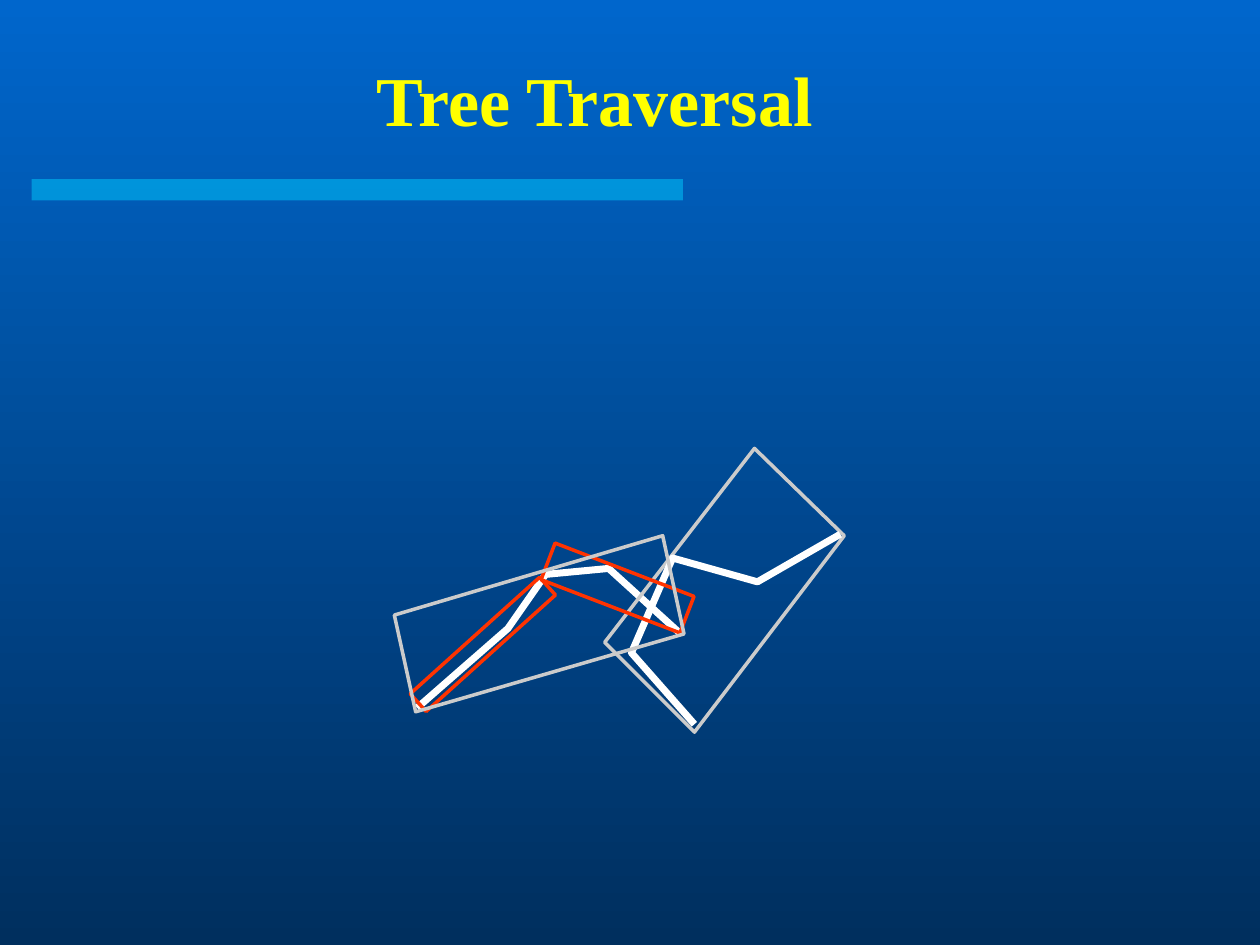
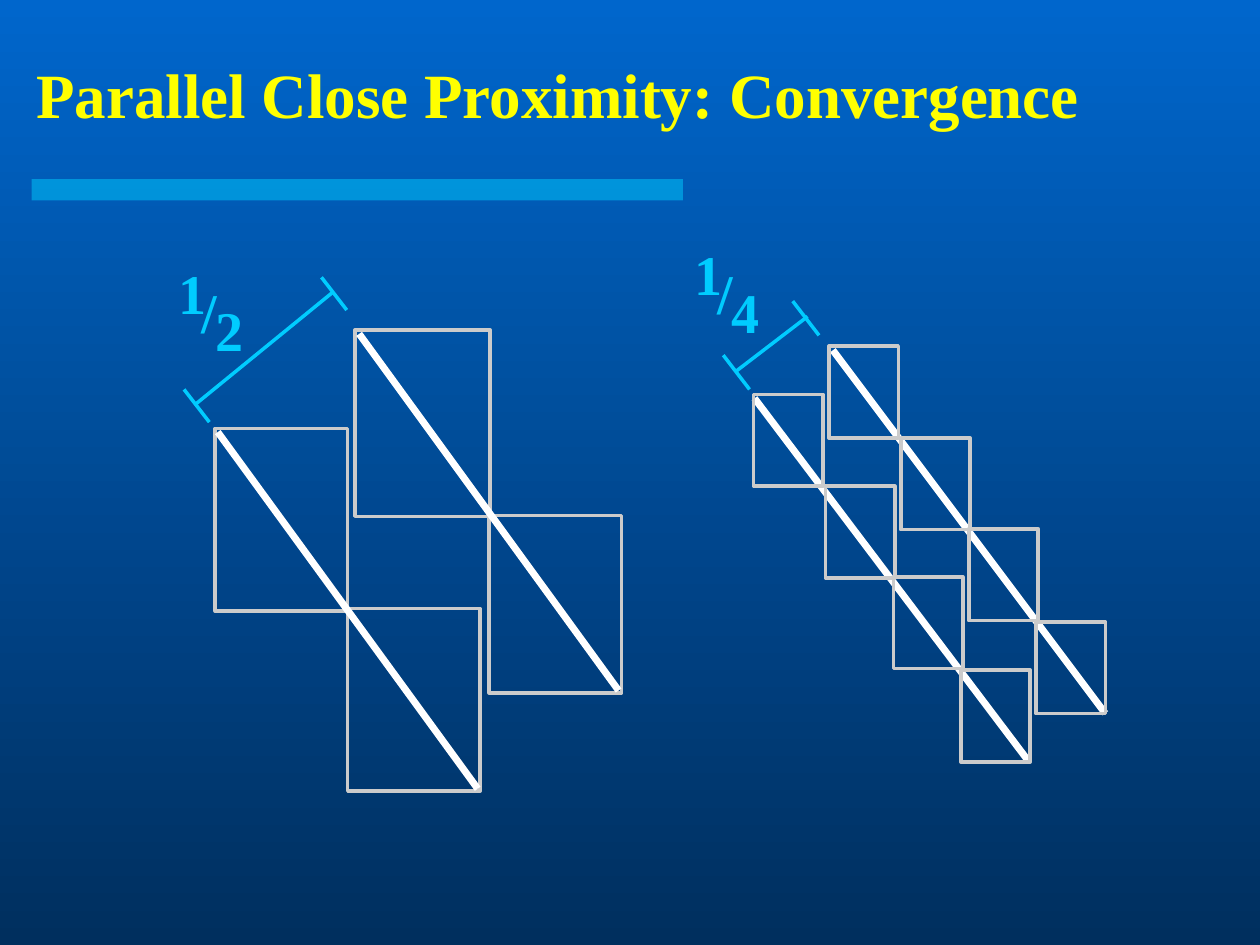
from lxml.etree import SubElement
from pptx import Presentation
from pptx.dml.color import RGBColor
from pptx.enum.shapes import MSO_CONNECTOR as Link, MSO_SHAPE as Form
from pptx.enum.text import MSO_ANCHOR as Anchor, MSO_AUTO_SIZE as Fit, PP_ALIGN as Align
from pptx.oxml.ns import qn
from pptx.util import Cm, Pt

rgb = RGBColor.from_string
FONT = "Times New Roman"
YELLOW, CYAN, WHITE, GREY, RED = "FFFF00", "00CCFF", "FFFFFF", "CBCBCB", "FF3300"


def style(item, tint, width):
    """Give an item a plain outline with no fill and no shadow."""
    item.line.color.rgb = rgb(tint)
    item.line.width = Pt(width)
    if hasattr(item, "fill"):
        item.fill.background()
        item.shadow.inherit = False
    else:
        SubElement(item.element.spPr, qn("a:effectLst"))


def add_box(group, x, y, w, h, tint=GREY, turn=0):
    box = group.shapes.add_shape(Form.RECTANGLE, Cm(x), Cm(y), Cm(w), Cm(h))
    box.rotation = turn
    style(box, tint, 2)


deck = Presentation()
deck.slide_width, deck.slide_height = Cm(25.4), Cm(19.05)

# Shared background
back = deck.slide_master.background.fill
back.gradient()
back.gradient_angle = 270
for stop, tint in zip(back.gradient_stops, ("0066CC", "002F5E")):
    stop.color.rgb = rgb(tint)

# Titles and bands
slides = []
for text, size, x, y, h in (
    ("Tree Traversal", 40, 0.74, 0.81, 2.36),
    ("Parallel Close Proximity: Convergence", 36, 0, 0.56, 2.64),
):
    slide = deck.slides.add_slide(deck.slide_layouts[5])
    slides.append(slide)
    band = slide.shapes.add_shape(Form.RECTANGLE, Cm(0.64), Cm(3.61), Cm(13.13), Cm(0.43))
    band.shadow.inherit = False
    band.line.fill.background()
    band.fill.solid()
    band.fill.fore_color.rgb = rgb(CYAN)
    paint = band.element.spPr.find(".//" + qn("a:srgbClr"))
    SubElement(paint, qn("a:alpha"), val="50000")

    title = slide.shapes.title
    title.left, title.top, title.width, title.height = Cm(x), Cm(y), Cm(22.5), Cm(h)
    frame = title.text_frame
    frame.text = text
    frame.auto_size = Fit.NONE
    frame.vertical_anchor = Anchor.MIDDLE
    para = frame.paragraphs[0]
    para.alignment = Align.CENTER
    para.font.name, para.font.size, para.font.bold = FONT, Pt(size), True
    para.font.color.rgb = rgb(YELLOW)

# Slide 1: two curves, their bounding boxes and the child boxes
tree = slides[0].shapes.add_group_shape()
curve_a = [(8.41, 14.27), (10.24, 12.67), (11, 11.58), (12.27, 11.46), (13.69, 12.75)]
curve_b = [(14, 14.6), (12.73, 13.16), (13.56, 11.25), (15.27, 11.73), (16.94, 10.77)]
bound_a = [(13.36, 10.8), (13.79, 12.78), (8.38, 14.35), (7.95, 12.4)]
bound_b = [(15.21, 9.04), (17.02, 10.8), (14, 14.76), (12.19, 12.95)]
for points, closed, tint, width in (
    (curve_a, False, WHITE, 4),
    (bound_b, True, GREY, 2),
    (curve_b, False, WHITE, 4),
    (None, False, RED, 2),
    (bound_a, True, GREY, 2),
):
    if points is None:
        add_box(tree, 7.98, 12.75, 3.51, 0.48, tint, 318)
        add_box(tree, 10.95, 11.46, 3, 0.79, tint, 21)
        continue
    spots = [(Cm(x), Cm(y)) for x, y in points]
    pen = tree.shapes.build_freeform(*spots[0])
    pen.add_line_segments(spots[1:], close=closed)
    style(pen.convert_to_shape(), tint, width)

# Slide 2: boxes around the halved segments
half = slides[1].shapes.add_group_shape()
quarter = slides[1].shapes.add_group_shape()
for place in (
    (7.16, 6.65, 2.72, 3.76),
    (9.86, 10.39, 2.67, 3.58),
    (4.34, 8.64, 2.67, 3.68),
    (7.01, 12.27, 2.67, 3.68),
):
    add_box(half, *place)

# Gauges, segments and fractions of both halves
for group, gauge, segments, digit, left, top in (
    (half,
     [(3.94, 8.15, 6.71, 5.89), (4.22, 8.51, 3.71, 7.85), (6.99, 6.25, 6.48, 5.59)],
     [(7.24, 6.73, 12.47, 13.92), (4.39, 8.71, 9.63, 15.9)],
     "2", 3.35, 5.08),
    (quarter,
     [(14.83, 7.49, 16.28, 6.38), (15.11, 7.85, 14.58, 7.16), (16.51, 6.76, 15.98, 6.07)],
     [(16.79, 7.06, 22.28, 14.38), (15.21, 8.03, 20.73, 15.34)],
     "4", 13.74, 4.7),
):
    for lines, tint, width in ((gauge, CYAN, 2), (segments, WHITE, 4)):
        for ends in lines:
            line = group.shapes.add_connector(Link.STRAIGHT, *map(Cm, ends))
            style(line, tint, width)
    for sign, dx, dy, w in (("1", 0, 0, 1.07), ("/", 0.47, 0.38, 0.81), (digit, 0.75, 0.76, 1.07)):
        label = group.shapes.add_textbox(Cm(left + dx), Cm(top + dy), Cm(w), Cm(1.6))
        frame = label.text_frame
        frame.text = sign
        frame.word_wrap = False
        frame.auto_size = Fit.SHAPE_TO_FIT_TEXT
        para = frame.paragraphs[0]
        para.alignment = Align.CENTER
        para.font.name, para.font.size, para.font.bold = FONT, Pt(32), True
        para.font.color.rgb = rgb(CYAN)

# Boxes around the quartered segments
for left, top in ((16.71, 6.98), (15.19, 7.95)):
    for dx, dy in ((0, 0), (1.45, 1.85), (2.82, 3.68), (4.18, 5.56)):
        add_box(quarter, left + dx, top + dy, 1.4, 1.85)

deck.save("out.pptx")
